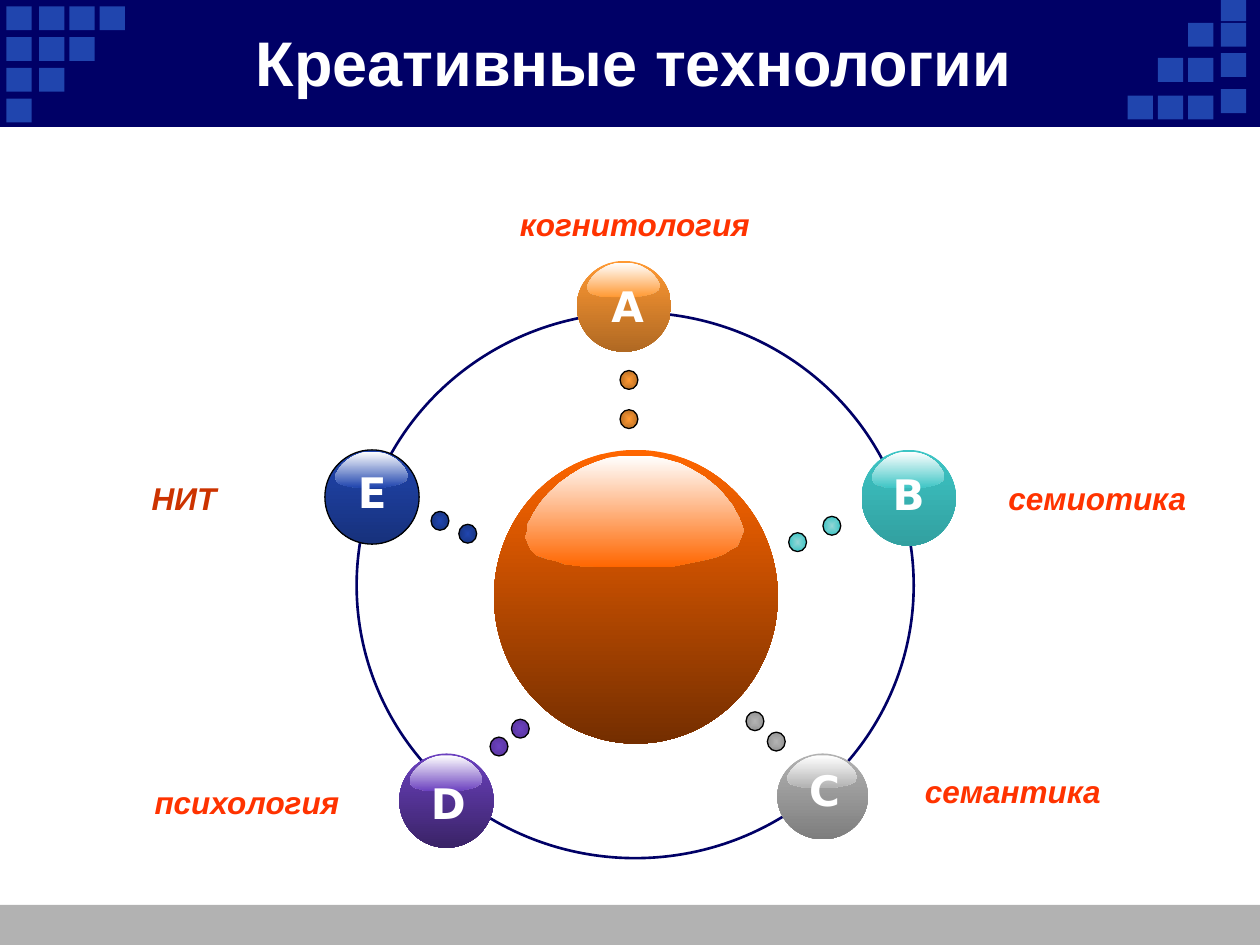
from lxml.etree import SubElement
from pptx import Presentation
from pptx.dml.color import RGBColor
from pptx.enum.shapes import MSO_SHAPE
from pptx.enum.text import MSO_ANCHOR, PP_ALIGN
from pptx.oxml.ns import qn
from pptx.util import Cm, Pt

COLORS = {
    "navy": "000066", "square": "2045AE", "footer": "B2B2B2", "white": "FFFFFF",
    "black": "000000", "label": "FF3300", "label_dark": "CC3300",
    "core": "FF6600", "core_dark": "742E00",
    "orange": "FF9933", "orange_dark": "B06923", "orange_dot": "B86F25",
    "teal": "3DC5C5", "teal_dark": "32A0A0", "teal_light": "91D5D5",
    "gray": "B2B2B2", "gray_dark": "7E7E7E", "gray_dot": "959595",
    "purple": "6B41BF", "purple_dark": "3A2367", "purple_dot": "5A36A0",
    "blue": "2045AE", "blue_dark": "17317C", "blue_dot": "183583",
}
# Outline of the highlight on a ball, in percent of its width and height
HIGHLIGHT = [
    (98, 56), (99, 61), (100, 67), (99, 72), (98, 77), (97, 81), (94, 84), (91, 88),
    (87, 91), (83, 93), (78, 95), (73, 97), (68, 99), (60, 100), (36, 100), (31, 99),
    (26, 99), (22, 98), (18, 97), (14, 94), (11, 93), (8, 91), (5, 89), (3, 85),
    (2, 82), (1, 77), (0, 73), (1, 68), (1, 62), (4, 51), (7, 42), (11, 33),
    (16, 24), (21, 17), (26, 11), (32, 6), (38, 2), (44, 0), (51, 0), (57, 0),
    (64, 3), (71, 7), (76, 12), (82, 19), (87, 27), (91, 35), (95, 45),
]

deck = Presentation()
deck.slide_width, deck.slide_height = Cm(25.4), Cm(19.05)
page = deck.slides.add_slide(deck.slide_layouts[5])
shapes = page.shapes


def paint(shape, fill=(), line=None, width=0.75, radial=False):
    """Give a shape no fill, one colour or a two-colour gradient, and an outline."""
    shape.shadow.inherit = False
    if not fill:
        shape.fill.background()
    elif len(fill) == 1:
        shape.fill.solid()
        shape.fill.fore_color.rgb = RGBColor.from_string(COLORS[fill[0]])
    else:
        shape.fill.gradient()
        shape.fill.gradient_angle = 270
        for stop, name in zip(shape.fill.gradient_stops, fill):
            stop.color.rgb = RGBColor.from_string(COLORS[name])
        if radial:
            gradient = shape._element.spPr.find(qn("a:gradFill"))
            gradient.remove(gradient.find(qn("a:lin")))
            center = SubElement(gradient, qn("a:path"), path="shape")
            SubElement(center, qn("a:fillToRect"), l="50000", t="50000", r="50000", b="50000")
    if line:
        shape.line.color.rgb = RGBColor.from_string(COLORS[line])
        shape.line.width = Pt(width)
    else:
        shape.line.fill.background()


def write(box, text, size, font, color, italic=False):
    para = box.text_frame.paragraphs[0]
    para.alignment = PP_ALIGN.CENTER
    span = para.add_run()
    span.text = text
    span.font.size = Pt(size)
    span.font.name = font
    span.font.bold = True
    span.font.italic = italic
    span.font.color.rgb = RGBColor.from_string(COLORS[color])


# Header and footer bands
footer = shapes.add_shape(MSO_SHAPE.RECTANGLE, Cm(0), Cm(18.24), Cm(25.4), Cm(0.83))
paint(footer, ["footer"])
header = shapes.add_shape(MSO_SHAPE.RECTANGLE, Cm(0), Cm(0), Cm(25.4), Cm(2.54))
paint(header, ["navy"], "navy")

# Stepped squares in the header corners
squares = [(left, 0.13 + 0.62 * row)
           for row in range(4) for left in [0.13, 0.79, 1.4, 2.01][:4 - row]]
squares += [(23.95 - 0.61 * column, top)
            for row, top in enumerate([0.46, 1.17, 1.93]) for column in range(row + 1)]
squares += [(24.61, top) for top in (-0.05, 0.46, 1.07, 1.8)]
for left, top in squares:
    square = shapes.add_shape(MSO_SHAPE.RECTANGLE, Cm(left), Cm(top), Cm(0.51), Cm(0.48))
    paint(square, ["square"])

# Title, brought in front of the header band
title = shapes.title
title.left, title.top, title.width, title.height = Cm(2.34), Cm(0), Cm(20.52), Cm(2.46)
title.text_frame.vertical_anchor = MSO_ANCHOR.MIDDLE
title.text_frame.margin_left = title.text_frame.margin_right = Cm(0.05)
write(title, " Креативные технологии", 36, "Arial", "white")
header._element.getparent().append(title._element)

ring = shapes.add_shape(MSO_SHAPE.OVAL, Cm(7.19), Cm(6.3), Cm(11.23), Cm(11))
paint(ring, line="navy", width=1.5)

# Balls: left, top, width, height, gradient, outline
balls = [
    (9.96, 9.07, 5.72, 5.92, ("core", "core_dark"), None),
    (11.63, 5.26, 1.9, 1.83, ("orange", "orange_dark"), None),
    (17.37, 9.07, 1.9, 1.93, ("teal", "teal_dark"), None),
    (15.67, 15.19, 1.83, 1.73, ("gray", "gray_dark"), None),
    (8.05, 15.19, 1.9, 1.9, ("purple", "purple_dark"), None),
    (6.55, 9.07, 1.9, 1.9, ("blue", "blue_dark"), "black"),
]
for left, top, width, height, colors, outline in balls:
    ball = shapes.add_shape(MSO_SHAPE.OVAL, Cm(left), Cm(top), Cm(width), Cm(height))
    paint(ball, colors, outline)
    scale = Cm(width * 0.77) / 100, Cm(height * 0.38) / 100
    builder = shapes.build_freeform(*HIGHLIGHT[0], scale=scale)
    builder.add_line_segments(HIGHLIGHT[1:], close=True)
    highlight = builder.convert_to_shape(Cm(left + width * 0.11), Cm(top + height * 0.02))
    paint(highlight, ("white", colors[0]))

letters = [("A", 12.07, 5.54, 1.17), ("B", 17.73, 9.32, 1.17), ("C", 16.05, 15.29, 1.14),
           ("D", 8.43, 15.54, 1.22), ("E", 6.96, 9.27, 1.09)]
for letter, left, top, width in letters:
    box = shapes.add_textbox(Cm(left), Cm(top), Cm(width), Cm(1.3))
    box.text_frame.word_wrap = False
    write(box, letter, 24, "DejaVu Sans", "white")

# Pairs of dots between the core and each ball
dots = [
    (("orange", "orange_dot"), [(12.5, 7.47), (12.5, 8.26)]),
    (("teal_light", "teal"), [(16.59, 10.41), (15.9, 10.74)]),
    (("gray", "gray_dot"), [(15.47, 14.76), (15.04, 14.35)]),
    (("purple", "purple_dot"), [(9.88, 14.86), (10.31, 14.5)]),
    (("blue", "blue_dot"), [(8.69, 10.31), (9.25, 10.57)]),
]
for colors, places in dots:
    for left, top in places:
        dot = shapes.add_shape(MSO_SHAPE.OVAL, Cm(left), Cm(top), Cm(0.36), Cm(0.38))
        paint(dot, colors, "black", radial=True)

labels = [
    ("семиотика", 19.48, 9.53, "label"), ("НИТ", 1.07, 9.53, "label_dark"),
    ("семантика", 17.78, 15.44, "label"), ("когнитология", 10.16, 4.01, "label"),
    ("психология", 2.34, 15.67, "label"),
]
for text, left, top, color in labels:
    box = shapes.add_textbox(Cm(left), Cm(top), Cm(5.28), Cm(1.02))
    box.text_frame.word_wrap = True
    write(box, text, 18, "Arial", color, italic=True)

deck.save("out.pptx")
